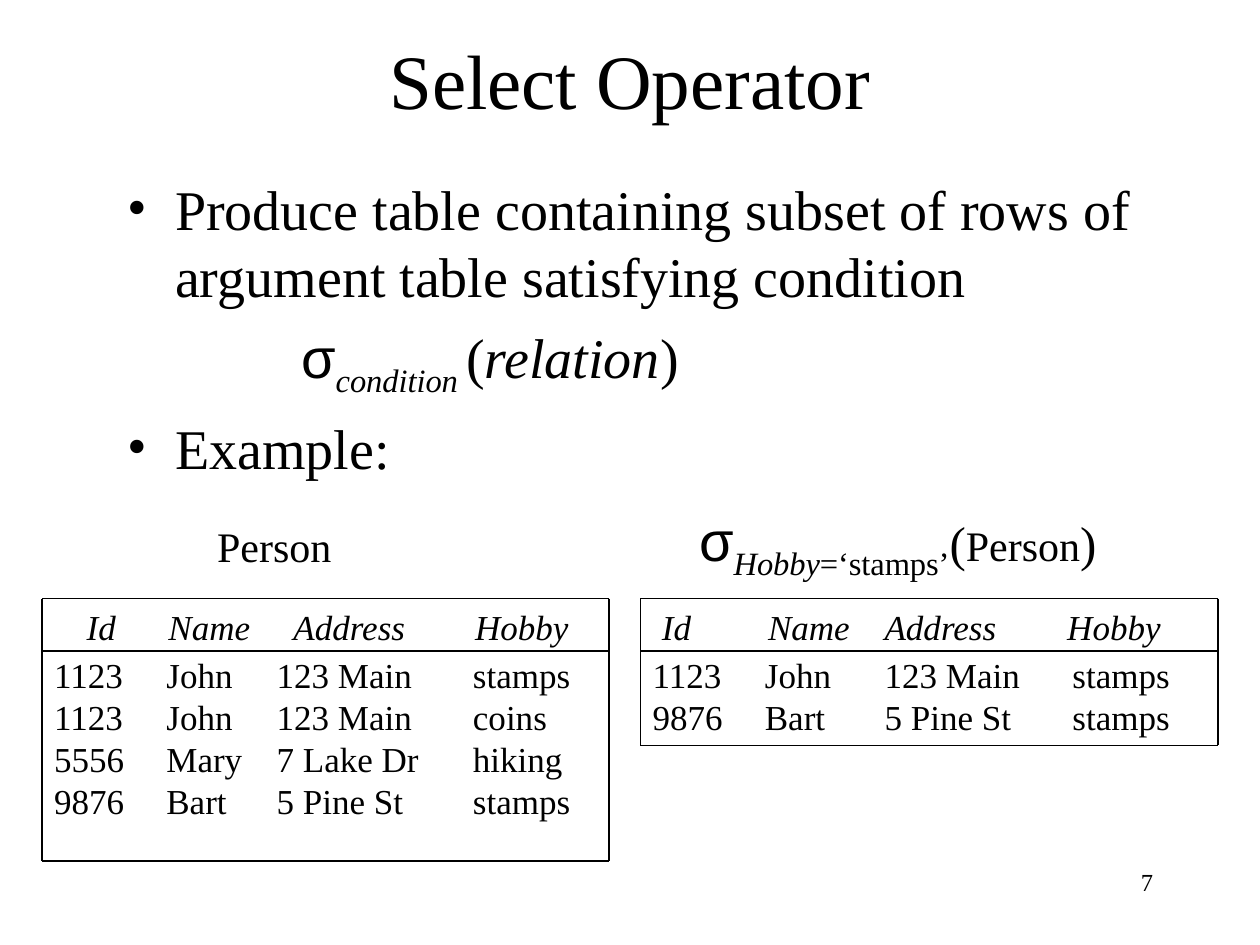
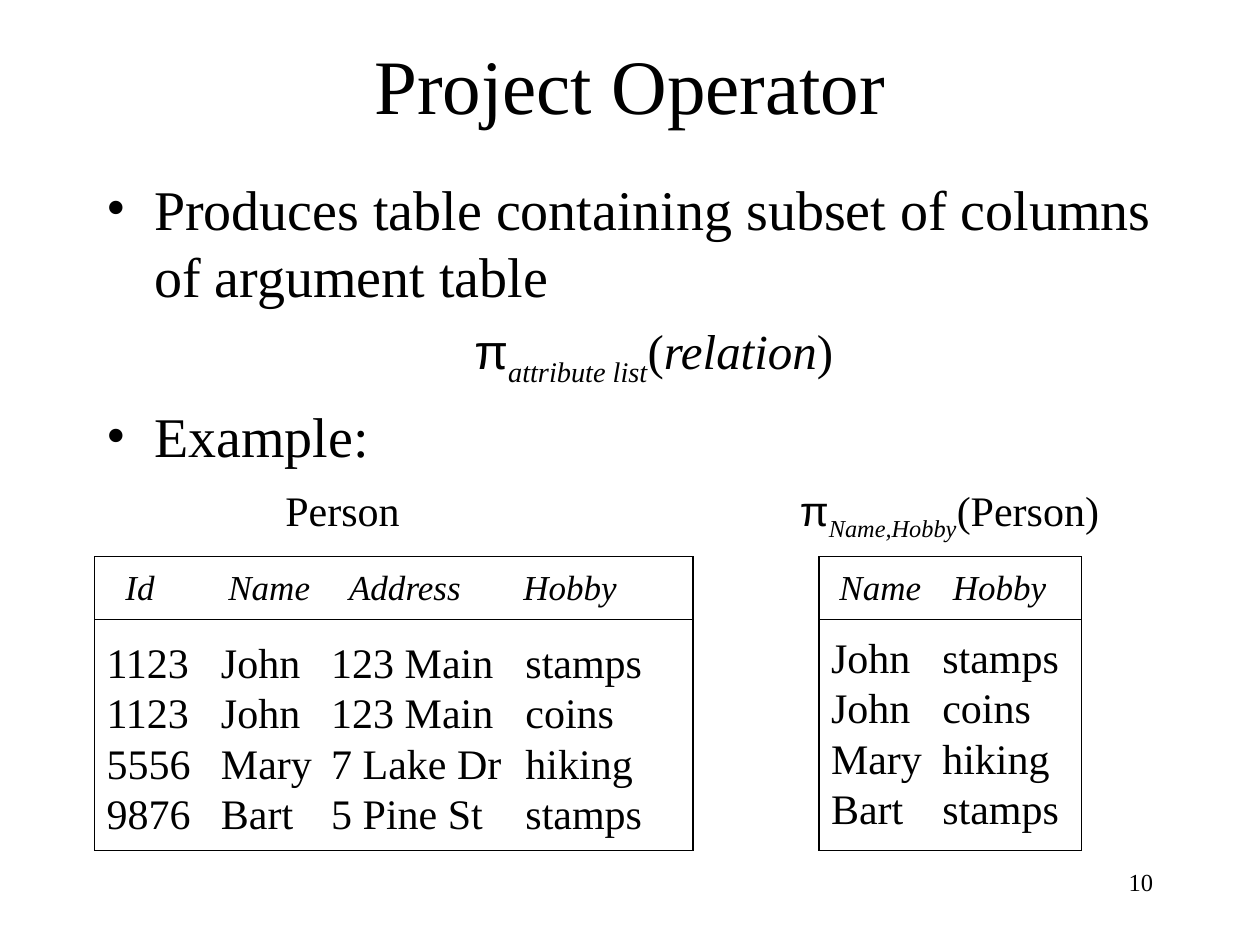
from lxml import etree
from pptx import Presentation
from pptx import util as u
from pptx.dml.color import RGBColor
from pptx.enum import shapes, text
from pptx.oxml.ns import qn

COLS, ROWS = 120, 90
INK = "000000"
SERIF, SANS = "Times New Roman", "Arial"
PLAIN_TABLE = "{2D5ABB26-0587-4C30-8999-92F81FD0307C}"
INSET = 1.15

prs = Presentation()
prs.slide_width, prs.slide_height = u.Inches(10), u.Inches(7.5)


def gx(n):
    return round(prs.slide_width * n / COLS)


def gy(n):
    return round(prs.slide_height * n / ROWS)


def place(box):
    left, top, width, height = box
    return gx(left), gy(top), gx(width), gy(height)


def color(hex_code):
    return RGBColor.from_string(hex_code)


def write(p, words, size=32, font=SERIF, italic=False, sub=False):
    r = p.add_run()
    r.text = words
    r.font.size, r.font.name, r.font.italic = u.Pt(size), font, italic
    r.font.color.rgb = color(INK)
    if sub:
        r.font._element.set("baseline", "-25000")


def write_runs(p, runs):
    for words, fmt in runs:
        write(p, words, **fmt)


def add_text_frame(slide, box):
    tf = slide.shapes.add_textbox(*place(box)).text_frame
    tf.word_wrap = True
    return tf


def indent(p, left, first=0):
    pPr = p._p.get_or_add_pPr()
    pPr.set("marL", str(gx(left)))
    pPr.set("indent", str(gx(first)))
    return pPr


def add_bullet(p, words):
    pPr = indent(p, 4.5, -4.5)
    p.space_before = u.Pt(8)
    font = etree.SubElement(pPr, qn("a:buFont"))
    font.set("typeface", SERIF)
    etree.SubElement(pPr, qn("a:buChar")).set("char", "•")
    write(p, words)


def add_title(slide, words, box):
    sp = slide.shapes.title
    sp.left, sp.top, sp.width, sp.height = place(box)
    tf = sp.text_frame
    tf.auto_size = text.MSO_AUTO_SIZE.NONE
    tf.vertical_anchor = text.MSO_ANCHOR.MIDDLE
    p = tf.paragraphs[0]
    p.alignment = text.PP_ALIGN.CENTER
    write(p, words, size=44)


def add_page_number(slide, number):
    p = add_text_frame(slide, (86, 82, 25, 6)).paragraphs[0]
    p.alignment = text.PP_ALIGN.RIGHT
    write(p, str(number), size=14)


def add_body(slide, box, lead, formula, formula_left, formula_space):
    tf = add_text_frame(slide, box)
    add_bullet(tf.paragraphs[0], lead)
    p = tf.add_paragraph()
    indent(p, formula_left)
    p.space_before = u.Pt(formula_space)
    write_runs(p, formula)
    add_bullet(tf.add_paragraph(), "Example:")


def add_rule(slide, x1, y1, x2, y2):
    line = slide.shapes.add_connector(
        shapes.MSO_CONNECTOR.STRAIGHT, gx(x1), gy(y1), gx(x2), gy(y2))
    line.line.width = u.Pt(0.75)
    line.line.color.rgb = color(INK)
    etree.SubElement(line._element.spPr, qn("a:effectLst"))


def add_frame(slide, box, header_height):
    left, top, width, height = box
    right, bottom, divider = left + width, top + height, top + header_height
    for y in (top, divider, bottom):
        add_rule(slide, left, y, right, y)
    for x in (left, right):
        add_rule(slide, x, top, x, divider)
        add_rule(slide, x, divider, x, bottom)


def add_relation(slide, box, caption, caption_at, header, records, starts,
                 shifts, header_height, row_height, pad, size):
    write_runs(add_text_frame(slide, (*caption_at, 45, 6)).paragraphs[0],
               caption)

    width, height = box[2:]
    last_row = len(records)
    frame = slide.shapes.add_table(last_row + 1, len(header), *place(box))
    table = frame.table
    table.first_row = table.horz_banding = False
    table._tbl.tblPr.find(qn("a:tableStyleId")).text = PLAIN_TABLE

    for col, start, end in zip(table.columns, starts, starts[1:] + [width]):
        col.width = gx(end - start)
    heights = [header_height, row_height + pad] + [row_height] * (last_row - 1)
    heights[-1] += height - sum(heights)
    for row, row_units in zip(table.rows, heights):
        row.height = gy(row_units)

    top_margins = {0: header_height / 5, 1: pad}
    for i, values in enumerate([header] + records):
        for j, value in enumerate(values):
            cell = table.cell(i, j)
            cell.fill.background()
            cell.margin_left = gx(INSET + (shifts[j] if i == 0 else 0))
            cell.margin_right = cell.margin_bottom = 0
            cell.margin_top = gy(top_margins.get(i, 0))
            cell.vertical_anchor = text.MSO_ANCHOR.TOP
            write(cell.text_frame.paragraphs[0], value,
                  size=20 if i == 0 else size, italic=i == 0)
    add_frame(slide, box, header_height)


def add_operator_slide(title, title_box, number, body, relations):
    slide = prs.slides.add_slide(prs.slide_layouts[5])
    add_title(slide, title, title_box)
    add_page_number(slide, number)
    add_body(slide, **body)
    for relation in relations:
        add_relation(slide, **relation)


SUB = dict(sub=True)
SUB_ITALIC = dict(sub=True, italic=True)
MID = dict(size=28)
SMALL = dict(size=24)

HEADER = ["Id", "Name", "Address", "Hobby"]
PERSON = [
    ["1123", "John", "123 Main", "stamps"],
    ["1123", "John", "123 Main", "coins"],
    ["5556", "Mary", "7 Lake Dr", "hiking"],
    ["9876", "Bart", "5 Pine St", "stamps"],
]
STAMP_COLLECTORS = [PERSON[0], PERSON[3]]
NAMES_AND_HOBBIES = [[name, hobby] for _, name, _, hobby in PERSON]

PERSON_CAPTION = [("Person", SMALL)]
SELECT_CAPTION = [("σ", dict(font=SANS)), ("Hobby", SUB_ITALIC),
                  ("=‘stamps’", SUB), ("(", MID), ("Person", SMALL),
                  (")", MID)]
PROJECT_CAPTION = [("π", dict(size=24, font=SANS)),
                   ("Name,Hobby", dict(SMALL, **SUB_ITALIC)),
                   ("(Person)", SMALL)]

SELECT_BODY = dict(
    box=(11, 16, 102, 31),
    lead="Produce table containing subset of rows of argument table "
         "satisfying condition",
    formula=[("σ", dict(font=SANS)), ("condition ", SUB_ITALIC), ("(", {}),
             ("relation", dict(italic=True)), (")", {})],
    formula_left=16.5, formula_space=8)

PROJECT_BODY = dict(
    box=(9, 16, 102, 29),
    lead="Produces table containing subset of columns of argument table",
    formula=[("π", dict(size=28, font=SANS)),
             ("attribute list", dict(MID, **SUB_ITALIC)), ("(", MID),
             ("relation", dict(size=28, italic=True)), (")", MID)],
    formula_left=35, formula_space=7)

SELECT_STYLE = dict(header=HEADER, header_height=5, row_height=4, pad=0.6,
                    size=20)
PROJECT_STYLE = dict(header_height=6, row_height=4.8, size=24)


def main():
    add_operator_slide(
        "Select Operator", (9, 3, 102, 9), 7, SELECT_BODY,
        [dict(SELECT_STYLE, box=(4, 57, 54, 25), records=PERSON,
              caption=PERSON_CAPTION, caption_at=(19.5, 49),
              starts=[0, 10.7, 21.2, 39.9], shifts=[3.1, 0.2, 1.6, 0.2]),
         dict(SELECT_STYLE, box=(61, 57, 55, 14), records=STAMP_COLLECTORS,
              caption=SELECT_CAPTION, caption_at=(65.4, 47.6),
              starts=[0, 10.7, 22.1, 40], shifts=[0.9, 0.3, 0, -0.5])])
    add_operator_slide(
        "Project Operator", (9, 3, 102, 10), 10, PROJECT_BODY,
        [dict(PROJECT_STYLE, box=(9, 53, 57, 28), header=HEADER,
              caption=PERSON_CAPTION, caption_at=(26, 45.6),
              records=PERSON, pad=2.05,
              starts=[0, 10.9, 21.4, 39.9], shifts=[1.8, 0.7, 1.7, -0.2]),
         dict(PROJECT_STYLE, box=(78, 53, 25, 28), header=["Name", "Hobby"],
              caption=PROJECT_CAPTION, caption_at=(75, 45.6),
              records=NAMES_AND_HOBBIES, pad=1.55,
              starts=[-0.2, 10.4], shifts=[0.8, 1])])
    prs.save("out.pptx")


if __name__ == "__main__":
    main()
